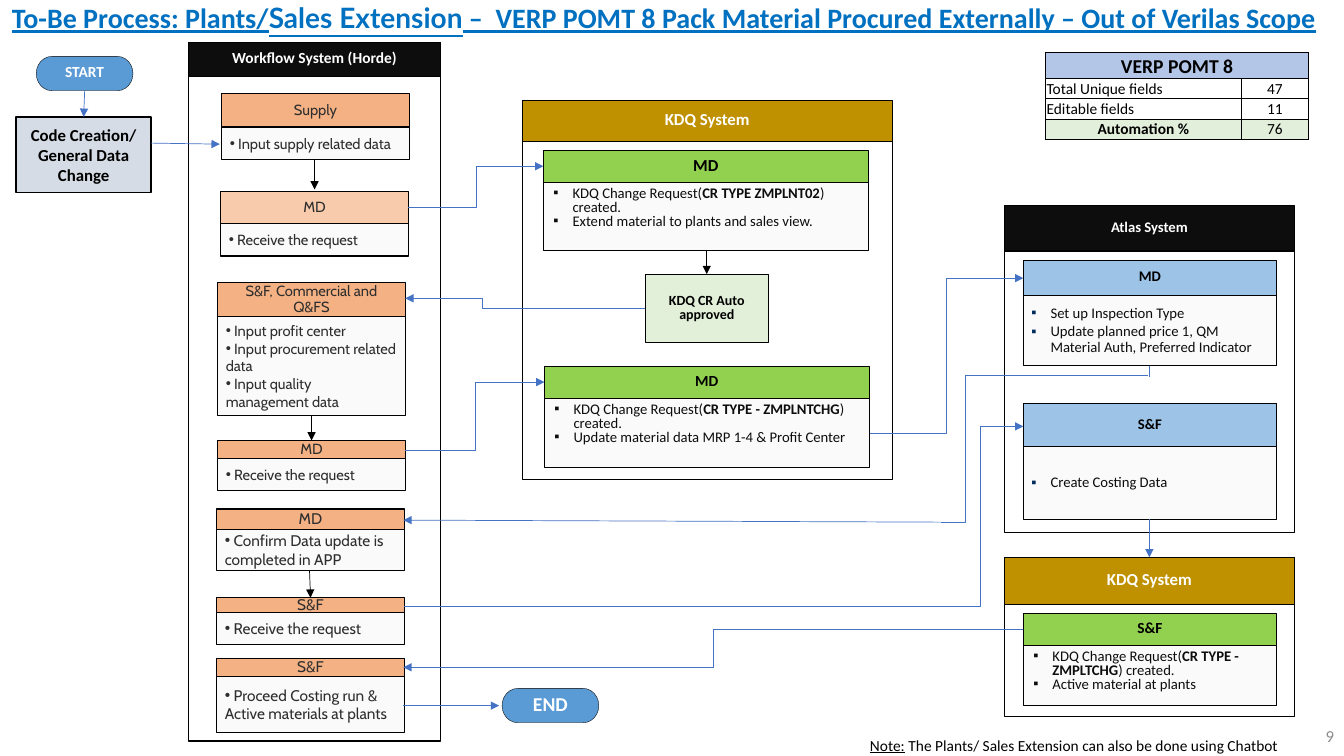
from pptx import Presentation
from pptx.dml.color import RGBColor
from pptx.enum.shapes import MSO_CONNECTOR, MSO_SHAPE
from pptx.enum.text import MSO_ANCHOR, PP_ALIGN
from pptx.oxml import parse_xml
from pptx.oxml.ns import nsdecls, qn
from pptx.util import Inches, Pt
from lxml import etree

RECTANGLE, TERMINATOR = MSO_SHAPE.RECTANGLE, MSO_SHAPE.FLOWCHART_TERMINATOR
STRAIGHT, ELBOW = MSO_CONNECTOR.STRAIGHT, MSO_CONNECTOR.ELBOW
LEFT, CENTER, RIGHT = PP_ALIGN.LEFT, PP_ALIGN.CENTER, PP_ALIGN.RIGHT
TOP, MIDDLE, BOTTOM = MSO_ANCHOR.TOP, MSO_ANCHOR.MIDDLE, MSO_ANCHOR.BOTTOM

THEME = {
    "black": "000000", "white": "FFFFFF", "title": "0070C0", "number": "8C8C8C",
    "terminal": "5B9BD5", "start": "D6DCE5", "system": "0D0D0D", "gold": "BF9000",
    "orange": "F4B183", "peach": "F8CBAD", "blue": "9DC3E6", "green": "92D050",
    "approved": "E2F0D9", "body": "FAFAFA", "workflow": "2E2E2E", "ink": "0D0D0D",
    "bullet": "002C5C", "arrow": "4472C4", "table": "B4C6E7", "total": "E2EFDA",
    "font": "Calibri", "workflow_font": "Cabin", "title_font": "Lato",
    "title_size": 20, "large": 14, "medium": 12, "normal": 11, "small": 10.5, "tiny": 10,
}

BASE = {"font": "font", "size": "normal", "color": "black", "bold": False, "align": LEFT,
        "spacing": 1, "after": 0, "anchor": MIDDLE, "inset": (0.1, 0.05), "bullet": None}
CENTERED = {**BASE, "bold": True, "align": CENTER, "spacing": 0.8}
WORKFLOW = {**BASE, "font": "workflow_font", "color": "workflow", "inset": (0.08, 0.08)}
LISTED = {**BASE, "size": "small", "color": "ink"}
STYLES = {
    "workflow_head": {**WORKFLOW, "align": CENTER, "spacing": 0.9, "after": 2},
    "workflow_body": {**WORKFLOW, "bullet": ("•", 0, "workflow")},
    "atlas_body": {**LISTED, "spacing": 0.9, "after": 2, "inset": (0.08, 0.08),
                   "bullet": ("▪", 0.19, "bullet")},
    "request_body": {**LISTED, "spacing": 0.8, "anchor": TOP, "bullet": ("▪", 0.19, "ink")},
    "head": CENTERED,
    "light_head": {**CENTERED, "color": "white"},
    "start": {**CENTERED, "size": "medium", "spacing": 1},
    "title": {**BASE, "size": "title_size", "color": "title", "bold": True, "anchor": TOP},
    "note": {**BASE, "anchor": TOP},
    "number": {**BASE, "size": "medium", "color": "number", "align": RIGHT},
    "cell": {**BASE, "inset": (0.01, 0.01)},
}

TITLE = [[("To-Be Process: Plants/", {"underline": True}),
          ("Sales Extension", {"underline": True, "name": THEME["title_font"]}),
          (" –  VERP POMT 8 Pack Material Procured Externally – Out of Verilas Scope",
           {"underline": True})]]
NOTE = [[("Note:", {"underline": True}),
         (" The Plants/ Sales Extension can also be done using Chatbot", {})]]

SYSTEMS = [
    ("Workflow System (Horde)", 1.87, 0.42, 0.76, 7.35, 2.5, "system", "normal"),
    ("Atlas System", 9.96, 2.04, 2.49, 5.28, 2.88, "system", "small"),
    ("KDQ System", 9.96, 5.53, 6, 7.11, 2.88, "gold", "medium"),
    ("KDQ System", 5.18, 1, 1.4, 4.76, 3.67, "gold", "medium"),
]

WORKFLOW_CARDS = [
    ("Supply", 2.2, 0.93, 1.26, 1.58, "orange", "small", [" Input supply related data"]),
    ("MD", 2.19, 1.9, 2.22, 2.54, "peach", "small", [" Receive the request"]),
    ("S&F, Commercial and Q&FS", 2.16, 2.8, 3.14, 4.12, "orange", "small",
     [" Input profit center", " Input procurement related data", " Input quality management data"]),
    ("MD", 2.16, 4.37, 4.55, 4.87, "orange", "small", [" Receive the request"]),
    ("MD", 2.15, 5.05, 5.25, 5.66, "orange", "normal", [" Confirm Data update is completed in APP"]),
    ("S&F", 2.15, 5.93, 6.08, 6.39, "orange", "normal", [" Receive the request"]),
    ("S&F", 2.15, 6.53, 6.71, 7.27, "orange", "normal",
     [" Proceed Costing run & Active materials at plants"]),
]


def change_request(kind, task):
    return [[("KDQ Change Request(", {}), (kind, {"bold": True}), (") created.", {})], task]


SYSTEM_CARDS = [
    ("MD", 10.15, 2.58, 2.93, 3.63, 2.51, "blue", "small", "atlas_body",
     ["Set up Inspection Type", "Update planned price 1, QM Material Auth, Preferred Indicator"]),
    ("S&F", 10.15, 4, 4.43, 5.15, 2.51, "blue", "small", "atlas_body", ["Create Costing Data"]),
    ("S&F", 10.15, 6.09, 6.4, 7, 2.51, "green", "normal", "request_body",
     change_request("CR TYPE - ZMPLTCHG", "Active material at plants")),
    ("MD", 5.39, 1.49, 1.81, 2.49, 3.22, "green", "medium", "request_body",
     change_request("CR TYPE ZMPLNT02", "Extend material to plants and sales view.")),
    ("MD", 5.4, 3.64, 3.95, 4.64, 3.22, "green", "normal", "request_body",
     change_request("CR TYPE - ZMPLNTCHG", "Update material data MRP 1-4 & Profit Center")),
]

BLOCKS = [
    ("START", (0.36, 0.56, 0.96, 0.34), TERMINATOR, "terminal", 0.25, "light_head", "normal"),
    ("END", (4.98, 6.83, 0.96, 0.34), TERMINATOR, "terminal", 0.25, "light_head", "large"),
    ("Code Creation/ General Data Change", (0.16, 1.16, 1.34, 0.75), RECTANGLE, "start", 1,
     "start", "medium"),
    ("KDQ CR Auto approved", (6.4, 2.72, 1.22, 0.68), RECTANGLE, "approved", 0.75, "head", "tiny"),
]

STRAIGHT_ARROWS = [
    ((0.84, 0.9), (0.83, 1.16), "arrow"), ((1.5, 1.42), (2.18, 1.43), "arrow"),
    ((3.12, 1.58), (3.12, 1.88), "black"), ((3.07, 5.66), (3.08, 5.93), "black"),
    ((11.4, 5.15), (11.4, 5.53), "arrow"), ((7.01, 2.49), (7.01, 2.72), "black"),
    ((3.09, 4.12), (3.09, 4.37), "black"), ((4, 7), (4.95, 7), "arrow"),
    ((9.33, 5.18), (4, 5.16), "arrow"),
]
ELBOW_ARROWS = [
    ((4.05, 2.06), (5.39, 1.65), 0.5, True), ((8.63, 4.3), (10.15, 2.76), 0.5, True),
    ((10.15, 6.24), (4, 6.62), 0.5, True), ((4.01, 6.02), (10.15, 4.23), 0.93, True),
    ((9.33, 5.18), (11.39, 3.72), 0.12, False), ((6.4, 3.06), (4.02, 2.96), 0.68, True),
    ((4.02, 4.47), (5.4, 3.79), 0.5, True),
]
TICK = ((11.4, 3.63), (11.4, 3.74))

TABLE_ROWS = [("VERP POMT 8", ""), ("Total Unique fields", "47"),
              ("Editable fields", "11"), ("Automation %", "76")]
COLUMN_WIDTHS, ROW_HEIGHTS = (1.94, 0.67), (0.26, 0.2, 0.2, 0.2)


def color(name):
    return RGBColor.from_string(THEME[name])


def assign(target, values):
    for name, value in values.items():
        setattr(target, name, value)


def add_bullet(paragraph, character, indent, tint):
    properties = paragraph._p.get_or_add_pPr()
    properties.set("marL", str(Inches(indent)))
    properties.set("indent", str(-Inches(indent)))
    for tag, xml in (("buClr", f'><a:srgbClr val="{THEME[tint]}"/></a:buClr>'),
                     ("buFont", ' typeface="Arial"/>'), ("buChar", f' char="{character}"/>')):
        properties.append(parse_xml(f"<a:{tag} {nsdecls('a')}{xml}"))


def write(frame, paragraphs, style_name, **changes):
    style = {**STYLES[style_name], **changes}
    for index, content in enumerate(paragraphs):
        paragraph = frame.add_paragraph() if index else frame.paragraphs[0]
        assign(paragraph, {"alignment": style["align"], "line_spacing": style["spacing"],
                           "space_after": Pt(style["after"])})
        if style["bullet"]:
            add_bullet(paragraph, *style["bullet"])
        for text, extra in [(content, {})] if isinstance(content, str) else content:
            run = paragraph.add_run()
            run.text = text
            run.font.color.rgb = color(style["color"])
            assign(run.font, {"name": THEME[style["font"]], "size": Pt(THEME[style["size"]]),
                              "bold": style["bold"], **extra})
    return style


def margins(style):
    across, down = map(Inches, style["inset"])
    return {"margin_left": across, "margin_right": across,
            "margin_top": down, "margin_bottom": down, "vertical_anchor": style["anchor"]}


def add_text(box, paragraphs, style_name, wrap=True):
    frame = slide.shapes.add_textbox(*map(Inches, box)).text_frame
    assign(frame, {**margins(write(frame, paragraphs, style_name)), "word_wrap": wrap})


def add_block(box, fill, paragraphs=(), style_name="head", size="normal", kind=RECTANGLE, width=0.75):
    shape = slide.shapes.add_shape(kind, *map(Inches, box))
    shape.shadow.inherit = False
    if fill:
        shape.fill.solid()
        shape.fill.fore_color.rgb = color(fill)
    else:
        shape.fill.background()
    shape.line.color.rgb = color("black")
    shape.line.width = Pt(width)
    style = write(shape.text_frame, paragraphs, style_name, size=size)
    assign(shape.text_frame, {**margins(style), "word_wrap": True})


def add_card(title, left, top, split, bottom, width, fill, size, head, body, lines, body_size):
    add_block((left, top, width, split - top), fill, [title], head, size)
    add_block((left, split, width, bottom - split), "body", lines, body, body_size)


def add_line(start, end, tint="arrow", kind=STRAIGHT, bend=None, arrow=True):
    connector = slide.shapes.add_connector(kind, *map(Inches, start + end))
    connector.line.color.rgb = color(tint)
    connector.line.width = Pt(0.5)
    properties = connector._element.spPr
    if bend is not None:
        guides = properties.find(qn("a:prstGeom")).get_or_add_avLst()
        etree.SubElement(guides, qn("a:gd"), name="adj1", fmla=f"val {round(bend * 100000)}")
    if arrow:
        etree.SubElement(connector.line._get_or_add_ln(), qn("a:tailEnd"), type="triangle")
    etree.SubElement(properties, qn("a:effectLst"))


def add_summary_table():
    box = (10.37, 0.52, sum(COLUMN_WIDTHS), sum(ROW_HEIGHTS))
    table = slide.shapes.add_table(4, 2, *map(Inches, box)).table
    for column, width in zip(table.columns, COLUMN_WIDTHS):
        column.width = Inches(width)
    table.cell(0, 0).merge(table.cell(0, 1))
    fills = {0: "table", 3: "total"}
    for r, (row, height) in enumerate(zip(TABLE_ROWS, ROW_HEIGHTS)):
        table.rows[r].height = Inches(height)
        for c, text in enumerate(row):
            cell = table.cell(r, c)
            label = c == 0 and r in (1, 2)
            style = write(cell.text_frame, [text] if text else [], "cell",
                          size="normal" if r else "large", bold=c == 0 and r in fills,
                          align=LEFT if label else CENTER, anchor=BOTTOM if label or r == 0 else MIDDLE)
            assign(cell, {**margins(style), "margin_bottom": 0})
            properties = cell._tc.get_or_add_tcPr()
            for side in ("lnL", "lnR", "lnT", "lnB"):
                border = etree.SubElement(properties, qn(f"a:{side}"), w=str(Pt(0.5 if r else 1)))
                paint = etree.SubElement(border, qn("a:solidFill"))
                etree.SubElement(paint, qn("a:srgbClr"), val=THEME["black"])
            cell.fill.solid()
            cell.fill.fore_color.rgb = color(fills.get(r, "white"))


presentation = Presentation()
assign(presentation, {"slide_width": Inches(13.33), "slide_height": Inches(7.5)})
slide = presentation.slides.add_slide(presentation.slide_layouts[6])

add_text((10.33, 7.1, 3, 0.4), ["9"], "number")
add_text((0.02, -0.04, 13.21, 0.44), TITLE, "title", wrap=False)
for name, left, top, split, bottom, width, fill, size in SYSTEMS:
    add_block((left, split, width, bottom - split), None, width=1)
    add_block((left, top, width, split - top), fill, [name], "light_head", size)
for title, left, top, split, bottom, fill, size, lines in WORKFLOW_CARDS:
    add_card(title, left, top, split, bottom, 1.86, fill, size,
             "workflow_head", "workflow_body", lines, size)
for title, left, top, split, bottom, width, fill, size, body, lines in SYSTEM_CARDS:
    add_card(title, left, top, split, bottom, width, fill, size, "head", body, lines, "small")
for text, box, kind, fill, width, style_name, size in BLOCKS:
    add_block(box, fill, [text], style_name, size, kind, width)
for start, end, tint in STRAIGHT_ARROWS:
    add_line(start, end, tint)
for start, end, bend, arrow in ELBOW_ARROWS:
    add_line(start, end, kind=ELBOW, bend=bend, arrow=arrow)
add_line(*TICK, arrow=False)
add_text((8.53, 7.25, 6.29, 0.29), NOTE, "note")
add_summary_table()

presentation.save("out.pptx")
